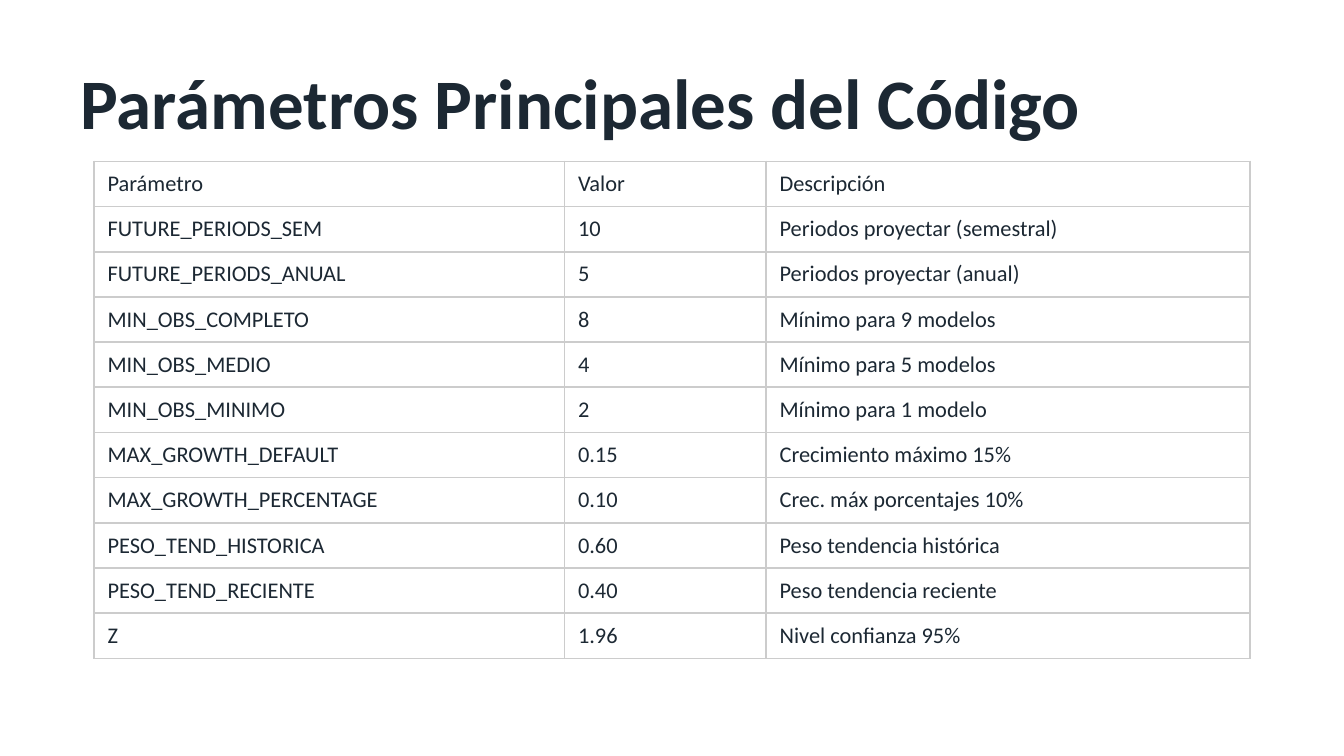
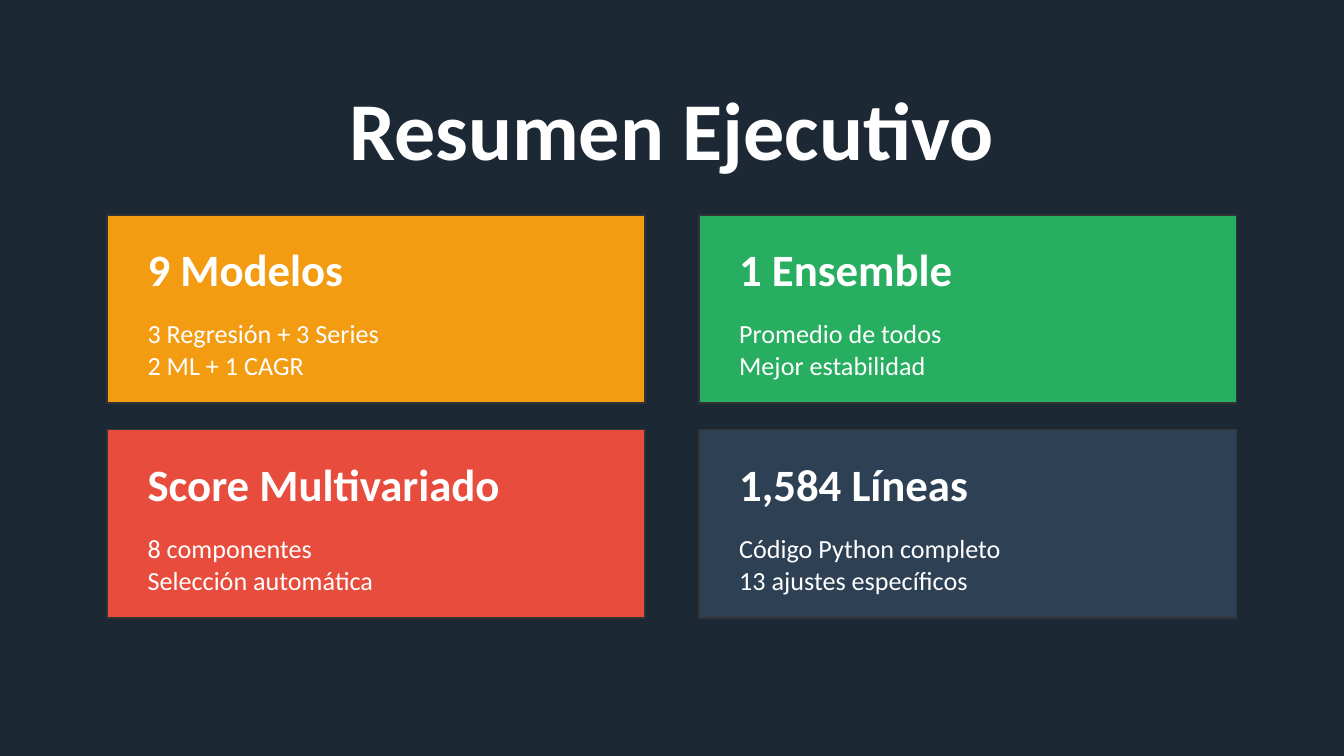
"""Build two slides: a table of code parameters and an executive summary."""
from lxml import etree
from pptx import Presentation
from pptx import util as u
from pptx.dml.color import RGBColor
from pptx.enum import shapes, text
from pptx.oxml.ns import qn

INK = RGBColor(0x1C, 0x28, 0x33)
WHITE = RGBColor(0xFF, 0xFF, 0xFF)
EDGE = RGBColor(0x33, 0x33, 0x33)
GRID = RGBColor(0xCC, 0xCC, 0xCC)
ORANGE = RGBColor(0xF3, 0x9C, 0x12)
GREEN = RGBColor(0x27, 0xAE, 0x60)
RED = RGBColor(0xE7, 0x4C, 0x3C)
SLATE = RGBColor(0x2E, 0x40, 0x53)

COLUMNS = (8.89, 3.81, 9.14)
PARAMETERS = (
    ("Parámetro", "Valor", "Descripción"),
    ("FUTURE_PERIODS_SEM", "10", "Periodos proyectar (semestral)"),
    ("FUTURE_PERIODS_ANUAL", "5", "Periodos proyectar (anual)"),
    ("MIN_OBS_COMPLETO", "8", "Mínimo para 9 modelos"),
    ("MIN_OBS_MEDIO", "4", "Mínimo para 5 modelos"),
    ("MIN_OBS_MINIMO", "2", "Mínimo para 1 modelo"),
    ("MAX_GROWTH_DEFAULT", "0.15", "Crecimiento máximo 15%"),
    ("MAX_GROWTH_PERCENTAGE", "0.10", "Crec. máx porcentajes 10%"),
    ("PESO_TEND_HISTORICA", "0.60", "Peso tendencia histórica"),
    ("PESO_TEND_RECIENTE", "0.40", "Peso tendencia reciente"),
    ("Z", "1.96", "Nivel confianza 95%"),
)
CARDS = (
    (ORANGE, "9 Modelos", ("3 Regresión + 3 Series", "2 ML + 1 CAGR")),
    (GREEN, "1 Ensemble", ("Promedio de todos", "Mejor estabilidad")),
    (RED, "Score Multivariado", ("8 componentes", "Selección automática")),
    (SLATE, "1,584 Líneas", ("Código Python completo", "13 ajustes específicos")),
)


def write(frame, *lines, size, color, bold=False, align=text.PP_ALIGN.LEFT):
    """Write one paragraph per line into a text frame."""
    for index, line in enumerate(lines):
        para = frame.add_paragraph() if index else frame.paragraphs[0]
        para.alignment = align
        span = para.add_run()
        span.text = line
        span.font.name = "Calibri"
        span.font.size = u.Pt(size)
        span.font.bold = bold
        span.font.color.rgb = color


def outline_cell(cell, color):
    """Draw a thin line on all four sides of a table cell."""
    properties = cell._tc.get_or_add_tcPr()
    for side in ("lnL", "lnR", "lnT", "lnB"):
        line = etree.SubElement(properties, qn(f"a:{side}"), w=str(u.Pt(1)))
        fill = etree.SubElement(line, qn("a:solidFill"))
        etree.SubElement(fill, qn("a:srgbClr"), val=str(color))


class Deck:
    """Holds the presentation, its style and the current slide."""

    def __init__(self):
        self.show = Presentation()
        self.show.slide_width = u.Cm(25.4)
        self.show.slide_height = u.Cm(14.29)
        self.page = None

    def add_page(self, background):
        """Start a blank slide with a plain background."""
        self.page = self.show.slides.add_slide(self.show.slide_layouts[6])
        self.page.background.fill.solid()
        self.page.background.fill.fore_color.rgb = background

    def label(self, left, top, width, height, *lines, **style):
        """Add a vertically centred text box."""
        box = self.page.shapes.add_textbox(u.Cm(left), u.Cm(top), u.Cm(width), u.Cm(height))
        box.text_frame.word_wrap = True
        box.text_frame.vertical_anchor = text.MSO_ANCHOR.MIDDLE
        write(box.text_frame, *lines, **style)

    def title(self, top, line, **style):
        """Add the slide title."""
        self.label(1.27, top, 22.86, 1.78, line, bold=True, **style)

    def table(self, left, top, height, columns, rows):
        """Add a plain table with thin grid lines."""
        box = self.page.shapes.add_table(
            len(rows), len(columns), u.Cm(left), u.Cm(top), u.Cm(sum(columns)), u.Cm(height))
        table = box.table
        table.first_row = table.horz_banding = False
        for column, width in zip(table.columns, columns):
            column.width = u.Cm(width)
        for row, values in zip(table.rows, rows):
            for cell, value in zip(row.cells, values):
                outline_cell(cell, GRID)
                cell.fill.solid()
                cell.fill.fore_color.rgb = WHITE
                cell.vertical_anchor = text.MSO_ANCHOR.MIDDLE
                write(cell.text_frame, value, size=12, color=INK)

    def card(self, left, top, color, heading, lines):
        """Add a coloured card with a heading and details."""
        box = self.page.shapes.add_shape(
            shapes.MSO_SHAPE.RECTANGLE, u.Cm(left), u.Cm(top), u.Cm(10.16), u.Cm(3.56))
        box.shadow.inherit = False
        box.fill.solid()
        box.fill.fore_color.rgb = color
        box.line.color.rgb = EDGE
        box.line.width = u.Pt(1)
        inner = left + 0.51
        self.label(inner, top + 0.51, 9.14, 1.02, heading, size=24, color=WHITE, bold=True)
        self.label(inner, top + 1.78, 9.14, 1.52, *lines, size=14, color=WHITE)


def main():
    """Build both slides and save the file."""
    deck = Deck()

    deck.add_page(WHITE)
    deck.title(1.02, "Parámetros Principales del Código", size=38, color=INK)
    deck.table(1.78, 3.05, 9.4, COLUMNS, PARAMETERS)

    deck.add_page(INK)
    deck.title(1.52, "Resumen Ejecutivo", size=44, color=WHITE, align=text.PP_ALIGN.CENTER)
    for index, card in enumerate(CARDS):
        row, column = divmod(index, 2)
        deck.card(2.03 + 11.18 * column, 4.06 + 4.06 * row, *card)

    deck.show.save("out.pptx")


if __name__ == "__main__":
    main()
